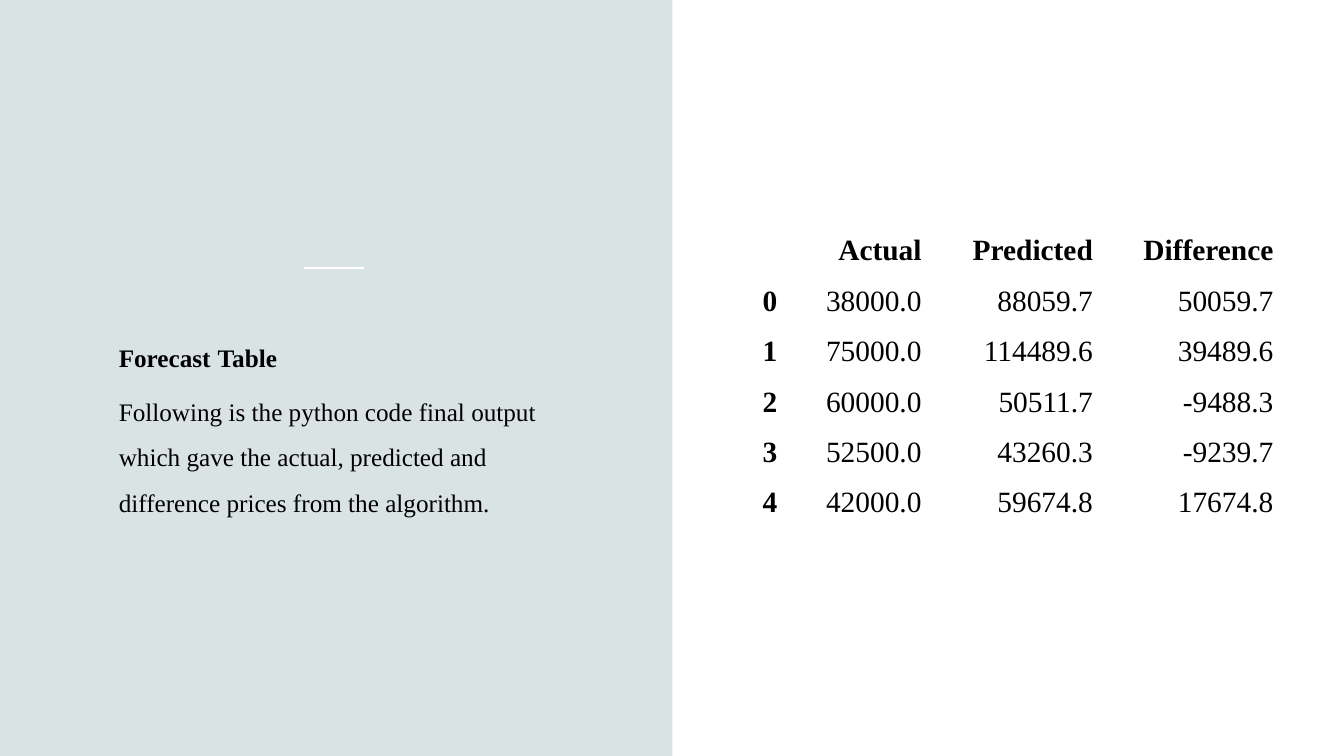
from dataclasses import dataclass

from lxml.etree import SubElement
from pptx import Presentation
from pptx.dml.color import RGBColor
from pptx.enum.shapes import MSO_CONNECTOR, MSO_SHAPE
from pptx.enum.text import MSO_ANCHOR, PP_ALIGN
from pptx.oxml.ns import qn
from pptx.util import Inches, Pt


@dataclass(frozen=True)
class Theme:
    back: RGBColor = RGBColor(0xDA, 0xE3, 0xE3)
    panel: RGBColor = RGBColor(0xFF, 0xFF, 0xFF)
    ink: RGBColor = RGBColor(0, 0, 0)
    font: str = "Times New Roman"
    gap_font: str = "Roboto"
    body: Pt = Pt(18)
    gap: Pt = Pt(20)
    cell: Pt = Pt(21)


THEME = Theme()

HEADS = ["", "Actual", "Predicted", "Difference"]
PRICES = [
    ("38000.0", "88059.7", "50059.7"),
    ("75000.0", "114489.6", "39489.6"),
    ("60000.0", "50511.7", "-9488.3"),
    ("52500.0", "43260.3", "-9239.7"),
    ("42000.0", "59674.8", "17674.8"),
]
WIDTHS = [0.55, 1.43, 1.7, 1.79]
ROW = 0.5
NOTE = ("Following is the python code final output which gave the actual, "
        "predicted and difference prices from the algorithm.")


def style(item, values):
    for name, value in values.items():
        setattr(item, name, value)


def add_run(para, text, size, bold=False, font=THEME.font):
    run = para.add_run()
    run.text = text
    style(run.font, {"name": font, "size": size, "bold": bold})
    run.font.color.rgb = THEME.ink


def add_rule(slide, left, top, width):
    rule = slide.shapes.add_connector(
        MSO_CONNECTOR.STRAIGHT, Inches(left), Inches(top),
        Inches(left + width), Inches(top))
    rule.line.color.rgb = THEME.panel
    rule.line.width = Pt(1)
    SubElement(rule._element.spPr, qn("a:effectLst"))


def add_panel(slide, left, top, width, height):
    panel = slide.shapes.add_shape(
        MSO_SHAPE.RECTANGLE, Inches(left), Inches(top),
        Inches(width), Inches(height))
    panel.shadow.inherit = False
    panel.fill.solid()
    panel.fill.fore_color.rgb = THEME.panel
    panel.line.fill.background()


def add_text(slide, left, top, width, height):
    box = slide.shapes.add_textbox(
        Inches(left), Inches(top), Inches(width), Inches(height))
    frame = box.text_frame
    frame.word_wrap = True
    title, note = frame.paragraphs[0], frame.add_paragraph()
    for para in (title, note):
        style(para, {"line_spacing": 1.5, "space_after": Pt(6)})
    add_run(title, "Forecast", THEME.body, True)
    add_run(title, " ", THEME.gap, True, THEME.gap_font)
    add_run(title, "Table", THEME.body, True)
    add_run(note, NOTE, THEME.body)


def add_grid(slide, left, top):
    rows = [HEADS] + [(str(i), *row) for i, row in enumerate(PRICES)]
    table = slide.shapes.add_table(
        len(rows), len(HEADS), Inches(left), Inches(top),
        Inches(sum(WIDTHS)), Inches(ROW * len(rows))).table
    style(table, {"first_row": False, "horz_banding": False})
    for col, width in zip(table.columns, WIDTHS):
        col.width = Inches(width)
    side, edge = Inches(0.11), Inches(0.06)
    for r, row in enumerate(rows):
        table.rows[r].height = Inches(ROW)
        for c, text in enumerate(row):
            cell = table.cell(r, c)
            style(cell, {
                "vertical_anchor": MSO_ANCHOR.MIDDLE,
                "margin_left": side, "margin_right": side,
                "margin_top": edge, "margin_bottom": edge,
            })
            cell.fill.solid()
            cell.fill.fore_color.rgb = THEME.panel
            para = cell.text_frame.paragraphs[0]
            para.alignment = PP_ALIGN.RIGHT
            if text:
                add_run(para, text, THEME.cell, r == 0 or c == 0)


def main():
    deck = Presentation()
    style(deck, {"slide_width": Inches(13.33), "slide_height": Inches(7.5)})
    slide = deck.slides.add_slide(deck.slide_layouts[6])
    slide.background.fill.solid()
    slide.background.fill.fore_color.rgb = THEME.back

    # Left half: short rule and text
    add_rule(slide, 3.02, 2.66, 0.59)
    add_text(slide, 1.08, 3.15, 4.46, 3.17)

    # Right half: white panel and price table
    add_panel(slide, 6.67, 0, 6.66, 7.5)
    add_grid(slide, 7.27, 2.24)

    deck.save("out.pptx")


if __name__ == "__main__":
    main()
